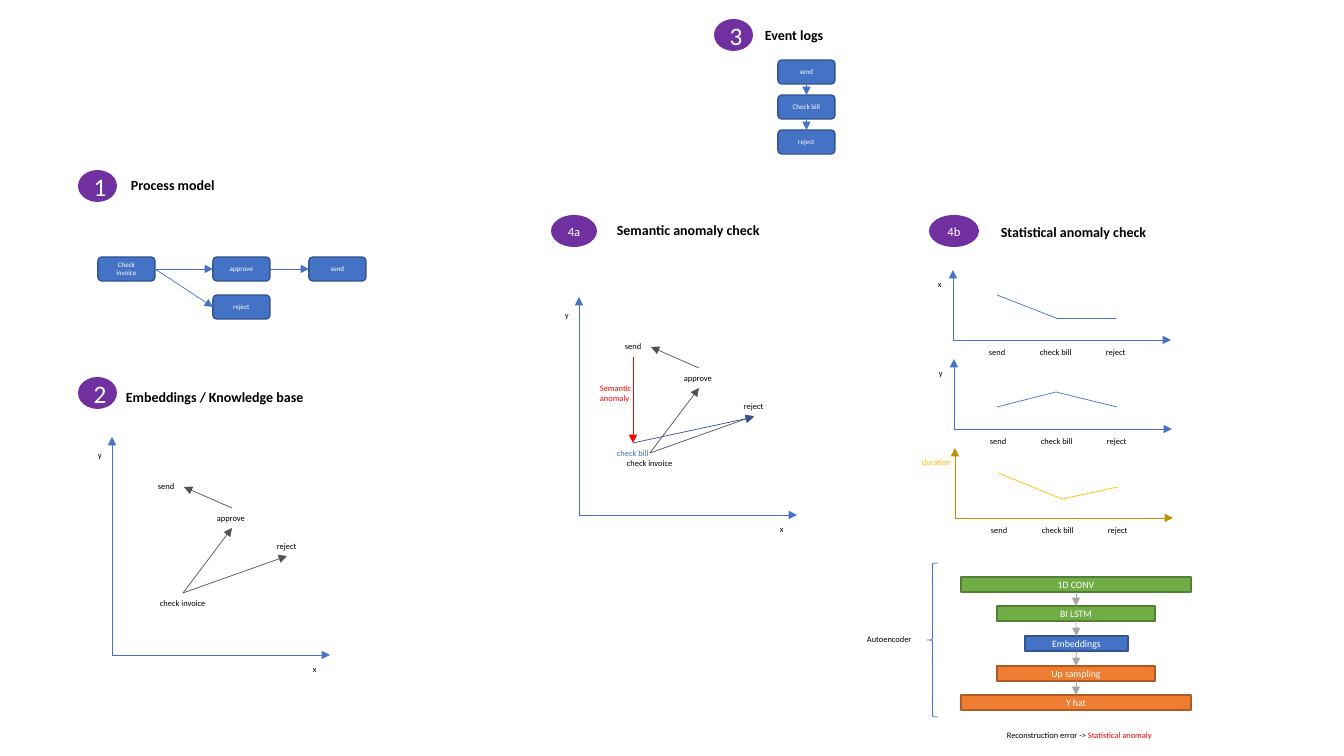
from dataclasses import dataclass
from itertools import pairwise

from lxml.etree import SubElement
from pptx import Presentation
from pptx.dml.color import RGBColor
from pptx.enum.shapes import MSO_CONNECTOR, MSO_SHAPE
from pptx.enum.text import MSO_ANCHOR, MSO_AUTO_SIZE, PP_ALIGN
from pptx.oxml.ns import qn
from pptx.util import Pt

SCALE = 914400 / 100.8
TOP, LEFT, BASE, RIGHT = range(4)
WIDTHS = {"send": 39, "approve": 50, "reject": 42, "check invoice": 69,
          "check bill": 54, "x": 25, "y": 25, "duration": 51}


@dataclass(frozen=True)
class Theme:
    """Colours, type sizes and line widths of the slide."""
    font: str = "Calibri"
    black: str = "000000"
    white: str = "FFFFFF"
    blue: str = "4472C4"
    navy: str = "325491"
    deep: str = "2F5597"
    gray: str = "525252"
    pale: str = "A6A6A6"
    red: str = "FF0000"
    gold: str = "FFC000"
    dark_gold: str = "BF9000"
    green: str = "70AD47"
    moss: str = "538035"
    orange: str = "ED7D31"
    rust: str = "AF5C24"
    purple: str = "7030A0"
    step: float = 5
    note: float = 6
    layer: float = 7
    small: float = 9
    head: float = 10
    large: float = 18
    thin: float = 0.5
    edge: float = 1


T = Theme()


def px(*vals):
    """Turn pixels into EMU."""
    return [round(val * SCALE) for val in vals]


def put(obj, vals):
    """Set each named value on an object."""
    for name, val in vals.items():
        setattr(obj, name, val)


def write(para, runs, size, bold=False):
    """Add (text, colour) runs to a paragraph."""
    for text, hue in runs:
        run = para.add_run()
        run.text = text
        put(run.font, {"name": T.font, "size": Pt(size), "bold": bold})
        run.font.color.rgb = RGBColor.from_string(hue)


def label(slide, runs, x, y, wide, size=T.note, bold=False, tall=20, wrap=False):
    """Add a text box."""
    frame = slide.shapes.add_textbox(*px(x, y, wide, tall)).text_frame
    put(frame, {"word_wrap": wrap, "auto_size": MSO_AUTO_SIZE.SHAPE_TO_FIT_TEXT})
    write(frame.paragraphs[0], runs, size, bold)


def word(slide, text, x, y, hue=T.black):
    """Add a small label of known width."""
    label(slide, [(text, hue)], x, y, WIDTHS[text])


def block(slide, kind, area, text="", size=T.step, fill=None, edge=None, thick=T.edge):
    """Add a preset shape with centred text."""
    shape = slide.shapes.add_shape(kind, *px(*area))
    shape.shadow.inherit = False
    for part, hue in ((shape.fill, fill), (shape.line.fill, edge)):
        if hue:
            part.solid()
            part.fore_color.rgb = RGBColor.from_string(hue)
        else:
            part.background()
    if edge:
        shape.line.width = Pt(thick)
    if text:
        frame = shape.text_frame
        put(frame, {"word_wrap": True, "vertical_anchor": MSO_ANCHOR.MIDDLE})
        frame.paragraphs[0].alignment = PP_ALIGN.CENTER
        write(frame.paragraphs[0], [(text, T.white)], size)
    return shape


def line(slide, start, end, hue=T.blue, arrow=True):
    """Add a thin straight line, with an arrowhead at its end if asked."""
    conn = slide.shapes.add_connector(MSO_CONNECTOR.STRAIGHT, *px(*start, *end))
    conn.line.width = Pt(T.thin)
    conn.line.color.rgb = RGBColor.from_string(hue)
    props = conn._element.spPr
    if arrow:
        SubElement(props.find(qn("a:ln")), qn("a:tailEnd"), type="triangle")
    SubElement(props, qn("a:effectLst"))
    return conn


def link(slide, one, two, sites, hue=T.blue):
    """Join two shapes with an arrow."""
    conn = line(slide, (0, 0), (1, 1), hue)
    conn.begin_connect(one, sites[0])
    conn.end_connect(two, sites[1])


def axes(slide, x, y, tall, hue=T.blue):
    """Draw two axis arrows from one origin."""
    for end in ((x, y - tall), (x + 218, y)):
        line(slide, (x, y), end, hue)


def badge(slide, mark, x, y, wide, size, title, left, top, span):
    """Draw a numbered oval and its heading."""
    block(slide, MSO_SHAPE.OVAL, (x, y, wide, 32), mark, size, T.purple)
    label(slide, [(title, T.black)], left, top, span, T.head, True, 27)


def step(slide, text, x, y):
    """Draw one process step."""
    return block(slide, MSO_SHAPE.ROUNDED_RECTANGLE, (x, y, 57, 24), text,
                 fill=T.blue, edge=T.navy)


def model(slide):
    """Draw the process model."""
    check, okay, drop, send = [step(slide, *item) for item in (
        ("Check invoice", 98, 257), ("approve", 213, 257),
        ("reject", 213, 295), ("send", 309, 257))]
    for one, two in ((check, okay), (check, drop), (okay, send)):
        link(slide, one, two, (RIGHT, LEFT))


def events(slide):
    """Draw the event log as a column of steps."""
    names = ("send", "Check bill", "reject")
    steps = [step(slide, name, 778, 60 + 35 * row) for row, name in enumerate(names)]
    for one, two in pairwise(steps):
        link(slide, one, two, (BASE, TOP))


def space(slide, x, y):
    """Draw the embedding space around its origin."""
    axes(slide, x, y, 218)
    for text, dx, dy in (("check invoice", 38, -62), ("approve", 95, -147),
                         ("reject", 155, -119), ("send", 36, -179),
                         ("x", 191, 4), ("y", -24, -210)):
        word(slide, text, x + dx, y + dy)
    for ax, ay, bx, by in ((71, -62, 120, -127), (71, -62, 175, -99),
                           (120, -147, 72, -168)):
        line(slide, (x + ax, y + ay), (x + bx, y + by), T.gray)


def drift(slide):
    """Mark the semantic anomaly in the second space."""
    word(slide, "check bill", 607, 443, T.blue)
    label(slide, [("Semantic anomaly", T.red)], 590, 378, 54, tall=30, wrap=True)
    line(slide, (633, 357), (633, 443), T.red)
    line(slide, (633, 443), (754, 417), T.deep)


def trend(slide, x, y, name, shift, points, axis=T.blue, hue=T.blue, ink=T.black):
    """Draw one small trend over the three events."""
    axes(slide, x, y, 70, axis)
    word(slide, name, x - shift, y - 66, ink)
    for text, dx in (("send", 26), ("check bill", 77), ("reject", 143)):
        word(slide, text, x + dx, y + 2)
    for one, two in pairwise([(x + dx, y - dy) for dx, dy in points]):
        line(slide, one, two, hue, False)


def coder(slide):
    """Draw the layers of the autoencoder."""
    green, blue, orange = (T.green, T.moss), (T.blue, T.navy), (T.orange, T.rust)
    bars = []
    for row, (text, wide, (fill, edge)) in enumerate((
            ("1D CONV", 230, green), ("BI LSTM", 158, green),
            ("Embeddings", 103, blue), ("Up sampling", 158, orange),
            ("Y hat", 230, orange))):
        area = (1076 - wide // 2, round(576.6 + 29.7 * row), wide, 15)
        bars.append(block(slide, MSO_SHAPE.RECTANGLE, area, text, T.layer, fill, edge))
    for one, two in pairwise(bars):
        link(slide, one, two, (BASE, TOP), T.pale)
    block(slide, MSO_SHAPE.LEFT_BRACE, (927, 563, 11, 154), edge=T.blue, thick=T.thin)
    label(slide, [("Autoencoder", T.black)], 857, 629, 68)
    label(slide, [("Reconstruction error -> ", T.black),
                  ("Statistical anomaly", T.red)], 997, 725, 170)


def main():
    """Build and save the slide."""
    deck = Presentation()
    wide, tall = px(1344, 756)
    put(deck, {"slide_width": wide, "slide_height": tall})
    slide = deck.slides.add_slide(deck.slide_layouts[6])
    model(slide)
    events(slide)
    space(slide, 112, 655)
    space(slide, 579, 515)
    drift(slide)
    trend(slide, 953, 340, "x", 25, ((44, 45), (103, 22), (163, 22)))
    trend(slide, 954, 429, "y", 25, ((43, 22), (102, 37), (163, 22)))
    trend(slide, 955, 518, "duration", 43, ((43, 45), (107, 19), (163, 31)),
          T.dark_gold, T.gold, T.gold)
    coder(slide)
    for item in (
            ("1", 78, 170, 39, T.large, "Process model", 121, 172, 107),
            ("2", 78, 377, 39, T.large, "Embeddings / Knowledge base", 116, 384, 203),
            ("3", 714, 19, 39, T.large, "Event logs", 755, 22, 83),
            ("4a", 551, 215, 46, T.small, "Semantic anomaly check", 607, 217, 166),
            ("4b", 929, 215, 50, T.small, "Statistical anomaly check", 991, 219, 170)):
        badge(slide, *item)
    deck.save("out.pptx")


main()
